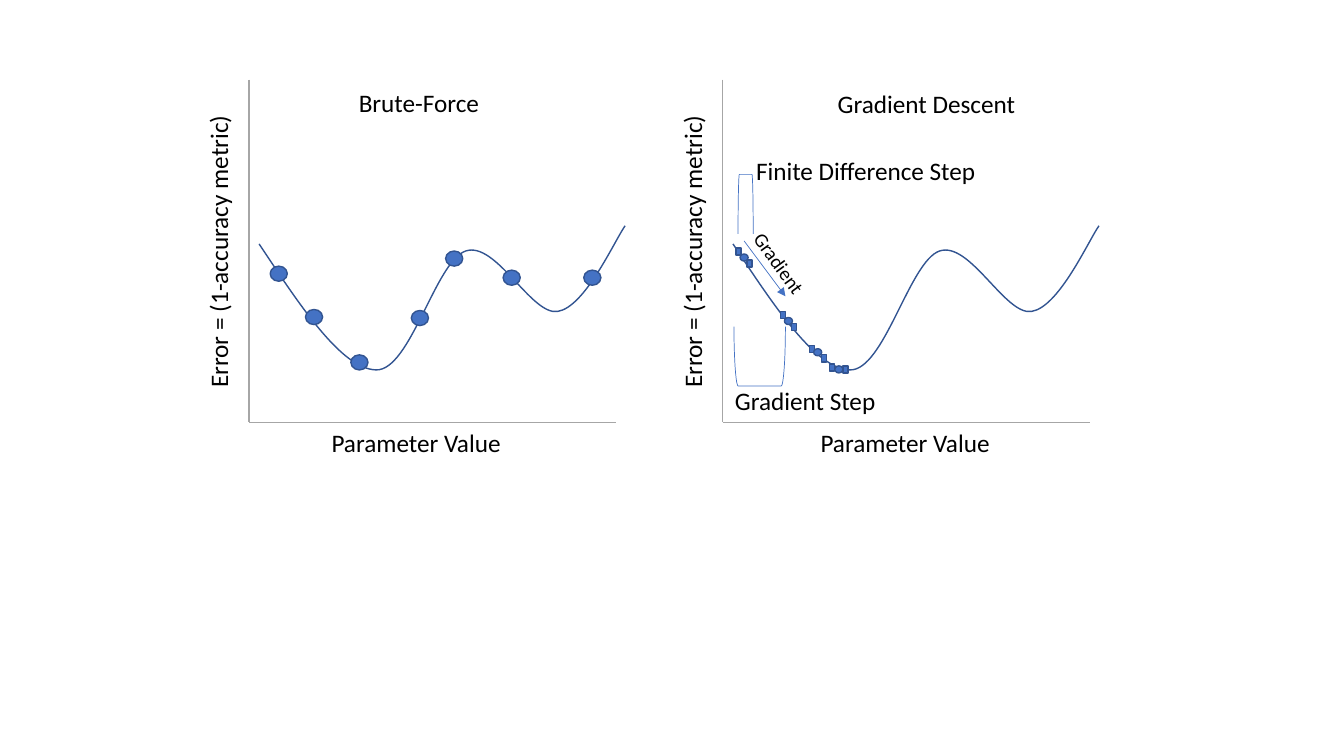
from lxml.etree import SubElement
from pptx import Presentation
from pptx.dml.color import RGBColor
from pptx.enum.shapes import MSO_CONNECTOR, MSO_SHAPE
from pptx.enum.text import MSO_AUTO_SIZE
from pptx.oxml.ns import qn
from pptx.util import Inches, Pt

COLORS = {"text": "000000", "axis": "A6A6A6", "blue": "4472C4", "outline": "325491"}
PANEL_W, PANEL_H = 3.64, 3.4

# Points relative to the panel's top left corner
CURVE = [(0.1, 1.63),
         (0.51, 2.25), (0.92, 2.87), (1.26, 2.88),
         (1.6, 2.89), (1.85, 1.8), (2.15, 1.7),
         (2.45, 1.6), (2.8, 2.34), (3.06, 2.3),
         (3.33, 2.26), (3.62, 1.61), (3.73, 1.45)]
SAMPLES = [(0.21, 1.85), (0.56, 2.28), (1.01, 2.73), (1.61, 2.29),
           (3.32, 1.89), (1.95, 1.7), (2.52, 1.89)]
# Each descent step: square before, square after, centre dot
STEPS = [((0.13, 1.67), (0.24, 1.79), (0.17, 1.73)),
         ((0.57, 2.3), (0.68, 2.42), (0.61, 2.36)),
         ((0.86, 2.64), (0.98, 2.73), (0.9, 2.67)),
         ((1.06, 2.82), (1.19, 2.84), (1.11, 2.84))]


def rgb(name):
    return RGBColor.from_string(COLORS[name])


def set_line(shape, color, width):
    shape.line.color.rgb = rgb(color)
    shape.line.width = Pt(width)


def add_text(s, x, y, w, text, h=0.4, size=18, rotation=0):
    tb = s.shapes.add_textbox(Inches(x), Inches(y), Inches(w), Inches(h))
    tb.rotation = rotation
    tf = tb.text_frame
    tf.word_wrap = False
    tf.auto_size = MSO_AUTO_SIZE.SHAPE_TO_FIT_TEXT
    r = tf.paragraphs[0].add_run()
    r.text = text
    for name, value in {"name": "Calibri", "size": Pt(size)}.items():
        setattr(r.font, name, value)
    r.font.color.rgb = rgb("text")


def add_line(s, x1, y1, x2, y2, color, width, arrow=False):
    c = s.shapes.add_connector(MSO_CONNECTOR.STRAIGHT, Inches(x1), Inches(y1),
                               Inches(x2), Inches(y2))
    set_line(c, color, width)
    if arrow:
        SubElement(c.line._get_or_add_ln(), qn("a:tailEnd"), type="triangle")
    SubElement(c._element.spPr, qn("a:effectLst"))


def add_marker(s, kind, x, y, w, h):
    sp = s.shapes.add_shape(kind, Inches(x), Inches(y), Inches(w), Inches(h))
    sp.shadow.inherit = False
    sp.fill.solid()
    sp.fill.fore_color.rgb = rgb("blue")
    set_line(sp, "outline", 1)


def add_bracket(s, x, y, w, h, rotation):
    sp = s.shapes.add_shape(MSO_SHAPE.LEFT_BRACKET, Inches(x), Inches(y),
                            Inches(w), Inches(h))
    sp.rotation = rotation
    sp.shadow.inherit = False
    sp.fill.background()
    set_line(sp, "blue", 0.5)


def add_curve(s, x, y):
    points = [(Inches(x + dx), Inches(y + dy)) for dx, dy in CURVE]
    builder = s.shapes.build_freeform(*points[0])
    builder.add_line_segments(points[1:], close=False)
    sp = builder.convert_to_shape()
    sp.shadow.inherit = False
    sp.fill.background()
    set_line(sp, "outline", 1)
    # Every three points after the start make one Bezier segment
    outline = next(sp._element.iter(qn("a:path")))
    segments = outline.findall(qn("a:lnTo"))
    for i in range(0, len(segments), 3):
        bezier = SubElement(outline, qn("a:cubicBezTo"))
        for segment in segments[i:i + 3]:
            bezier.append(segment[0])
            outline.remove(segment)


def add_panel(s, x, y, label_dx):
    # Axes, axis labels and error curve
    bottom = y + PANEL_H
    add_line(s, x, y, x, bottom, "axis", 0.75)
    add_line(s, x, bottom, x + PANEL_W, bottom, "axis", 0.75)
    add_text(s, x + label_dx, bottom, 1.9, "Parameter Value")
    add_text(s, x - 1.77, y + 1.49, 2.93, "Error = (1-accuracy metric)", rotation=270)
    add_curve(s, x, y)


def add_brute_force(s, x, y):
    add_panel(s, x, y, 0.72)
    for dx, dy in SAMPLES:
        add_marker(s, MSO_SHAPE.OVAL, x + dx, y + dy, 0.17, 0.15)
    add_text(s, x + 0.99, y + 0.03, 1.41, "Brute-Force")


def add_gradient_descent(s, x, y):
    add_panel(s, x, y, 0.87)
    add_text(s, x + 1.04, y + 0.04, 1.98, "Gradient Descent")
    # Step brackets and their labels
    add_bracket(s, x + 0.07, y + 2.49, 0.59, 0.51, 270)
    add_text(s, x + 0.02, y + 2.98, 1.61, "Gradient Step")
    add_text(s, x + 0.23, y + 0.7, 2.41, "Finite Difference Step")
    add_bracket(s, x - 0.07, y + 1.16, 0.59, 0.15, 90)
    # Gradient arrow
    add_line(s, x + 0.21, y + 1.6, x + 0.62, y + 2.15, "blue", 0.5, arrow=True)
    add_text(s, x + 0.11, y + 1.66, 0.9, "Gradient", h=0.34, size=14, rotation=54)
    # Descent steps
    for before, after, dot in STEPS:
        for dx, dy in (before, after):
            add_marker(s, MSO_SHAPE.RECTANGLE, x + dx, y + dy, 0.05, 0.07)
        add_marker(s, MSO_SHAPE.OVAL, x + dot[0], y + dot[1], 0.08, 0.07)


prs = Presentation()
prs.slide_width, prs.slide_height = Inches(13.33), Inches(7.5)
s = prs.slides.add_slide(prs.slide_layouts[6])
add_brute_force(s, 2.47, 0.79)
add_gradient_descent(s, 7.17, 0.79)
prs.save("out.pptx")
